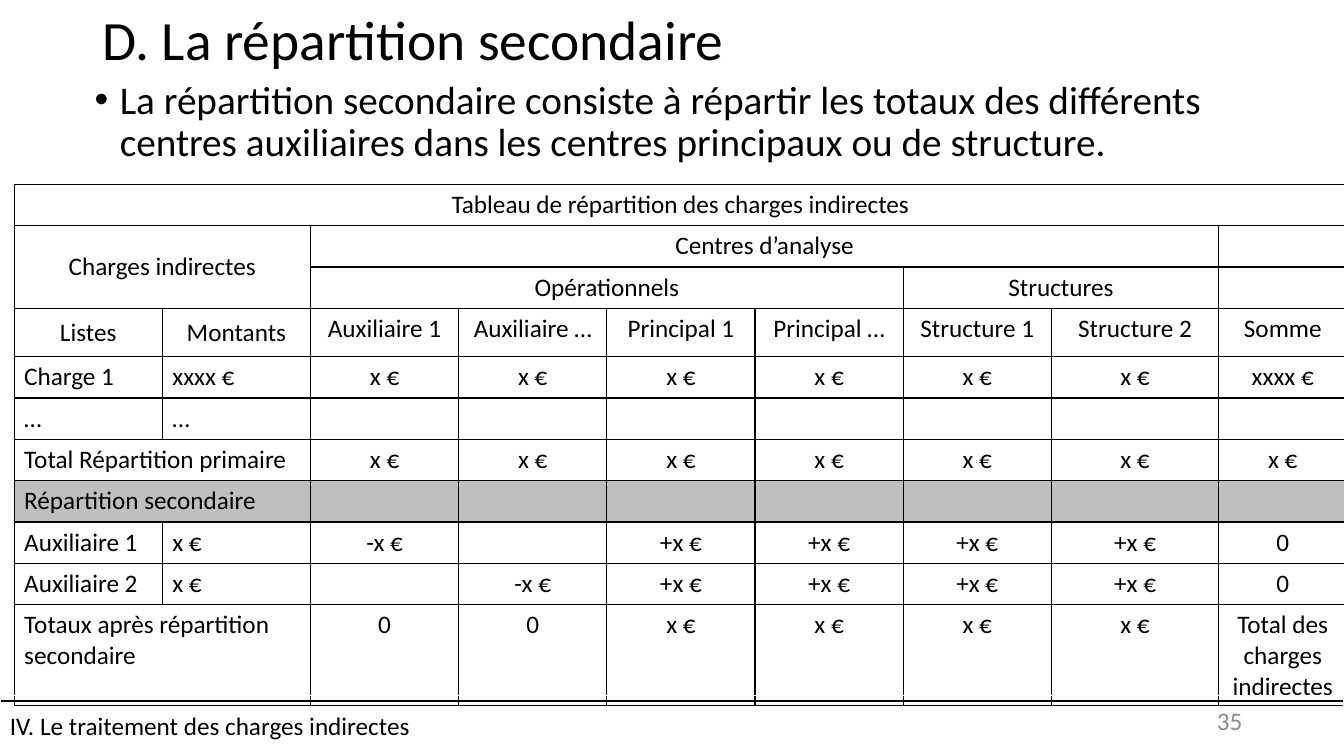
from lxml import etree
from pptx import Presentation
from pptx.dml.color import RGBColor
from pptx.enum.shapes import MSO_CONNECTOR, MSO_SHAPE
from pptx.enum.text import MSO_ANCHOR, PP_ALIGN
from pptx.oxml.ns import qn
from pptx.util import Inches, Pt

BLACK = RGBColor(0x00, 0x00, 0x00)
WHITE = RGBColor(0xFF, 0xFF, 0xFF)
BAND_GRAY = RGBColor(0xBF, 0xBF, 0xBF)
NUMBER_GRAY = RGBColor(0x8C, 0x8C, 0x8C)
LEFT, CENTER, RIGHT = PP_ALIGN.LEFT, PP_ALIGN.CENTER, PP_ALIGN.RIGHT
TOP, MIDDLE = MSO_ANCHOR.TOP, MSO_ANCHOR.MIDDLE
RECTANGLE, STRAIGHT = MSO_SHAPE.RECTANGLE, MSO_CONNECTOR.STRAIGHT

COLUMN_WIDTHS = [1.47] * 7 + [1.66, 1.27]
ROW_HEIGHTS = [0.41] * 3 + [0.48] + [0.41] * 7
BAND_ROW = 7
FIRST_DATA_ROW = 4
LABEL_COLUMNS = 2
MIDDLE_CELLS = {(1, 0), (3, 0), (3, 1)}
MERGES = [
    (0, 0, 0, 8), (1, 0, 2, 1), (1, 2, 1, 7), (2, 2, 2, 5), (2, 6, 2, 7),
    (6, 0, 6, 1), (7, 0, 7, 1), (10, 0, 10, 1),
]
ALLOCATION_ROWS = [
    ["Tableau de répartition des charges indirectes"],
    ["Charges indirectes", "", "Centres d’analyse"],
    ["", "", "Opérationnels", "", "", "", "Structures"],
    ["Listes", "Montants", "Auxiliaire 1", "Auxiliaire …", "Principal 1",
     "Principal …", "Structure 1", "Structure 2", "Somme"],
    ["Charge 1", "xxxx €"] + ["x €"] * 6 + ["xxxx €"],
    ["…", "…"],
    ["Total Répartition primaire", ""] + ["x €"] * 7,
    ["Répartition secondaire"],
    ["Auxiliaire 1", "x €", "-x €", ""] + ["+x €"] * 4 + ["0"],
    ["Auxiliaire 2", "x €", "", "-x €"] + ["+x €"] * 4 + ["0"],
    ["Totaux après répartition secondaire", "", "0", "0"] + ["x €"] * 4
    + ["Total des charges indirectes"],
]


class SlideBuilder:
    """Draws styled elements on one slide."""

    def __init__(self, slide, font="Calibri", size=18):
        self.slide = slide
        self.font = font
        self.size = size

    def fill_text(self, frame, text, size=None, color=BLACK, align=LEFT):
        frame.text = text
        paragraph = frame.paragraphs[0]
        paragraph.alignment = align
        for run in paragraph.runs:
            run.font.name = self.font
            run.font.size = Pt(size or self.size)
            run.font.color.rgb = color
        return paragraph

    def text(self, box, text, anchor=TOP, **style):
        shape = self.slide.shapes.add_textbox(*map(Inches, box))
        shape.text_frame.word_wrap = True
        shape.text_frame.vertical_anchor = anchor
        return self.fill_text(shape.text_frame, text, **style)

    def bullet(self, box, text, size):
        paragraph = self.text(box, text, size=size)
        paragraph.line_spacing = 0.9
        paragraph.space_before = Pt(10)
        properties = paragraph._p.get_or_add_pPr()
        properties.set("marL", str(Inches(0.25)))
        properties.set("indent", str(-Inches(0.25)))
        etree.SubElement(properties, qn("a:buFont"), typeface="Arial")
        etree.SubElement(properties, qn("a:buChar"), char="•")

    def line(self, start, end, width):
        connector = self.slide.shapes.add_connector(
            STRAIGHT, *map(Inches, start + end))
        connector.line.color.rgb = BLACK
        connector.line.width = Pt(width)
        etree.SubElement(connector._element.spPr, qn("a:effectLst"))

    def footer(self, box, text):
        shape = self.slide.shapes.add_shape(RECTANGLE, *map(Inches, box))
        shape.shadow.inherit = False
        shape.fill.background()
        shape.line.color.rgb = WHITE
        shape.line.width = Pt(1)
        shape.text_frame.word_wrap = True
        shape.text_frame.vertical_anchor = MIDDLE
        self.fill_text(shape.text_frame, text)

    def border(self, cell):
        properties = cell._tc.get_or_add_tcPr()
        for position, side in enumerate(("lnL", "lnR", "lnT", "lnB")):
            edge = etree.Element(qn(f"a:{side}"), w=str(Pt(1)))
            fill = etree.SubElement(edge, qn("a:solidFill"))
            etree.SubElement(fill, qn("a:srgbClr"), val=str(BLACK))
            properties.insert(position, edge)

    def table(self, left, top, rows):
        frame = self.slide.shapes.add_table(
            len(ROW_HEIGHTS), len(COLUMN_WIDTHS), Inches(left), Inches(top),
            Inches(sum(COLUMN_WIDTHS)), Inches(sum(ROW_HEIGHTS)))
        table = frame.table
        table.first_row = table.horz_banding = False
        for column, width in zip(table.columns, COLUMN_WIDTHS):
            column.width = Inches(width)
        for row, height in zip(table.rows, ROW_HEIGHTS):
            row.height = Inches(height)
        for row_index, texts in enumerate(rows):
            for column_index in range(len(COLUMN_WIDTHS)):
                cell = table.cell(row_index, column_index)
                cell.fill.background()
                if row_index == BAND_ROW:
                    cell.fill.solid()
                    cell.fill.fore_color.rgb = BAND_GRAY
                self.border(cell)
                if (row_index, column_index) in MIDDLE_CELLS:
                    cell.vertical_anchor = MIDDLE
                if column_index < len(texts) and texts[column_index]:
                    label = (row_index >= FIRST_DATA_ROW
                             and column_index < LABEL_COLUMNS)
                    self.fill_text(cell.text_frame, texts[column_index],
                                   align=LEFT if label else CENTER)
        for first_row, first_column, last_row, last_column in MERGES:
            table.cell(first_row, first_column).merge(
                table.cell(last_row, last_column))


def main():
    presentation = Presentation()
    presentation.slide_width = Inches(13.33)
    presentation.slide_height = Inches(7.5)
    builder = SlideBuilder(
        presentation.slides.add_slide(presentation.slide_layouts[6]))
    builder.line((0, 6.95), (13.33, 6.95), 1.5)
    title = builder.text((0.92, 0.1, 11.5, 0.65), "D. La répartition secondaire",
                         anchor=MIDDLE, size=39.6)
    title.line_spacing = 0.9
    builder.bullet(
        (0.84, 0.75, 11.5, 1.3),
        "La répartition secondaire consiste à répartir les totaux des différents "
        "centres auxiliaires dans les centres principaux ou de structure.", 28)
    builder.table(0.14, 1.83, ALLOCATION_ROWS)
    builder.footer((0, 6.9, 13.33, 0.6), "IV. Le traitement des charges indirectes")
    builder.text((9.42, 6.95, 3, 0.4), "35", anchor=MIDDLE,
                 color=NUMBER_GRAY, align=RIGHT)
    presentation.save("out.pptx")


if __name__ == "__main__":
    main()
